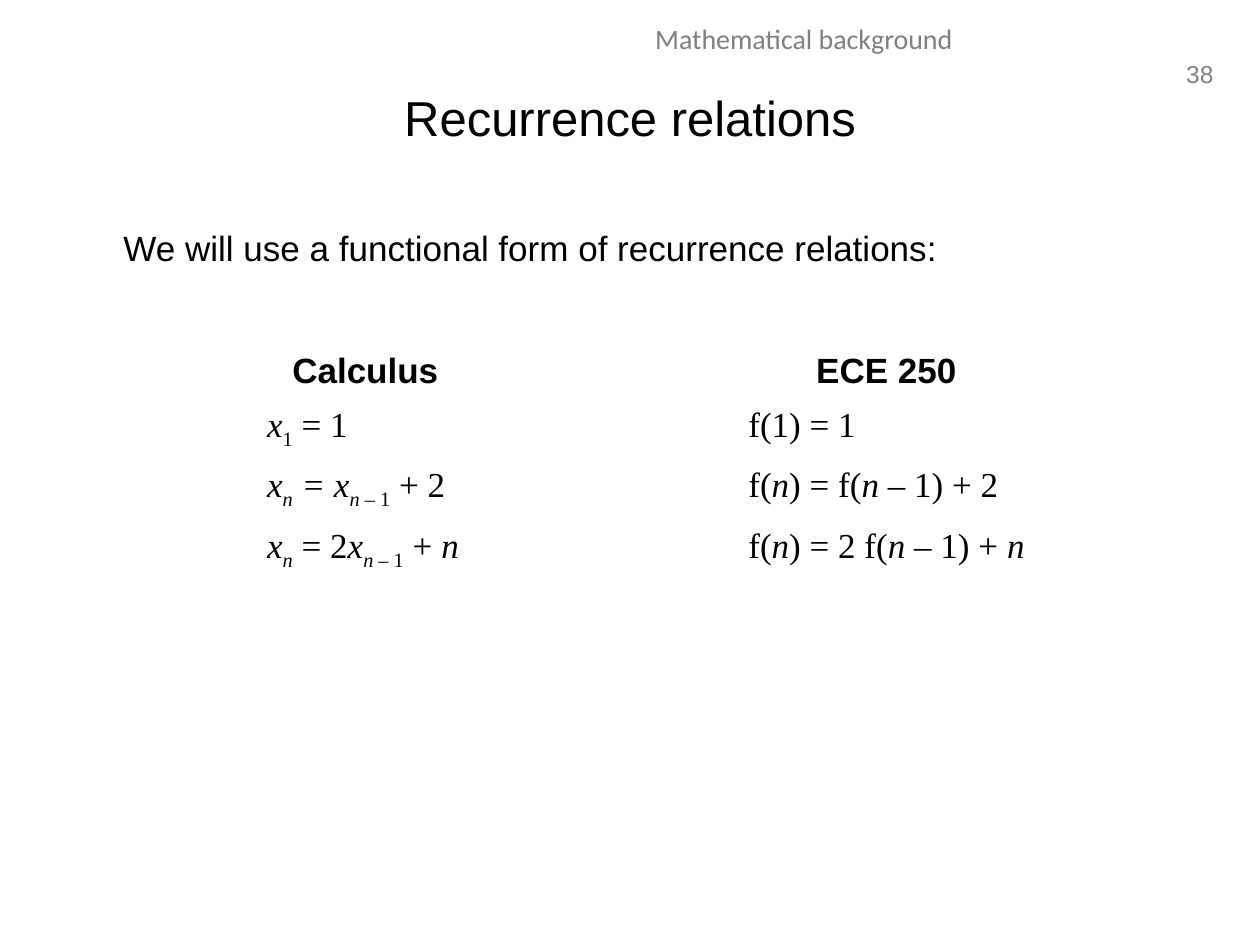
from pptx import Presentation
from pptx.dml.color import RGBColor
from pptx.enum.text import MSO_ANCHOR, PP_ALIGN
from pptx.oxml.xmlchemy import OxmlElement
from pptx.util import Inches, Pt

LEFT, CENTER, RIGHT = PP_ALIGN.LEFT, PP_ALIGN.CENTER, PP_ALIGN.RIGHT
TOP, MIDDLE = MSO_ANCHOR.TOP, MSO_ANCHOR.MIDDLE

COLORS = {"text": "000000", "muted": "808080"}
HEADINGS = ("Calculus", "ECE 250")
COLUMN_WIDTHS = (4.14, 4.13)
FORMULA_INDENTS = (1.29, 0.97)
ROW_HEIGHT = 0.43

# Each formula run is (text, style): i is italic, s is subscript.
FORMULAS = (
    (
        (("x", "i"), ("1", "s"), (" = 1", "")),
        (("f(1) = 1", ""),),
    ),
    (
        (("x", "i"), ("n", "is"), (" = x", "i"), ("n", "is"), (" – 1", "s"), (" + 2", "")),
        (("f(", ""), ("n", "i"), (") = f(", ""), ("n", "i"), (" – 1) + 2", "")),
    ),
    (
        (("x", "i"), ("n", "is"), (" = 2", ""), ("x", "i"), ("n", "is"), (" – 1", "s"),
         (" + ", ""), ("n", "i")),
        (("f(", ""), ("n", "i"), (") = 2 f(", ""), ("n", "i"), (" – 1) + ", ""), ("n", "i")),
    ),
)


class SlideBuilder:
    body_font = "Arial"
    formula_font = "Times New Roman"
    body_size = 20

    def __init__(self, slide):
        self.slide = slide

    def run(self, paragraph, text, size=body_size, font=body_font, color="text", bold=False, style=""):
        run = paragraph.add_run()
        run.text = text
        run.font.size = Pt(size)
        run.font.name = font
        run.font.bold = bold
        run.font.italic = "i" in style
        run.font.color.rgb = RGBColor.from_string(COLORS[color])
        if "s" in style:
            run._r.get_or_add_rPr().set("baseline", "-25000")

    def place(self, shape, left, top, width, height):
        shape.left, shape.top = Inches(left), Inches(top)
        shape.width, shape.height = Inches(width), Inches(height)

    def title(self, text, *box):
        shape = self.slide.shapes.title
        self.place(shape, *box)
        shape.text_frame.vertical_anchor = MIDDLE
        paragraph = shape.text_frame.paragraphs[0]
        paragraph.alignment = CENTER
        self.run(paragraph, text, size=28)

    def body(self, text, *box, indent):
        shape = self.slide.placeholders[1]
        self.place(shape, *box)
        shape.text_frame.vertical_anchor = TOP
        paragraph = shape.text_frame.paragraphs[0]
        properties = paragraph._p.get_or_add_pPr()
        properties.set("marL", str(Inches(indent)))
        properties.set("indent", "0")
        properties.append(OxmlElement("a:buNone"))
        paragraph.space_before = Pt(0)
        self.run(paragraph, text)

    def text_box(self, text, *box, size, font, alignment, wrap=True):
        shape = self.slide.shapes.add_textbox(*map(Inches, box))
        shape.text_frame.word_wrap = wrap
        paragraph = shape.text_frame.paragraphs[0]
        paragraph.alignment = alignment
        self.run(paragraph, text, size, font, "muted")

    def table(self, left, top):
        row_count = len(FORMULAS) + 1
        table = self.slide.shapes.add_table(
            row_count, len(HEADINGS), Inches(left), Inches(top),
            Inches(sum(COLUMN_WIDTHS)), Inches(ROW_HEIGHT * row_count)).table
        table.first_row = table.horz_banding = False
        for row in table.rows:
            row.height = Inches(ROW_HEIGHT)
        for index, heading in enumerate(HEADINGS):
            table.columns[index].width = Inches(COLUMN_WIDTHS[index])
            paragraph = self.cell_paragraph(table.cell(0, index), CENTER)
            self.run(paragraph, heading, bold=True)
            for row_index, formulas in enumerate(FORMULAS, start=1):
                cell = table.cell(row_index, index)
                cell.margin_left = Inches(FORMULA_INDENTS[index])
                paragraph = self.cell_paragraph(cell, LEFT)
                for text, style in formulas[index]:
                    self.run(paragraph, text, font=self.formula_font, style=style)

    def cell_paragraph(self, cell, alignment):
        cell.fill.background()
        paragraph = cell.text_frame.paragraphs[0]
        paragraph.alignment = alignment
        return paragraph


def main():
    presentation = Presentation()
    presentation.slide_width, presentation.slide_height = Inches(10), Inches(7.5)
    builder = SlideBuilder(presentation.slides.add_slide(presentation.slide_layouts[1]))
    builder.text_box("38", 9.29, 0.42, 0.44, 0.33, size=14, font="Arial", alignment=RIGHT, wrap=False)
    builder.text_box("Mathematical background", 3.19, 0.12, 6.38, 0.4,
                     size=16, font="Calibri", alignment=CENTER)
    builder.title("Recurrence relations", 0.5, 0.3, 9, 1.25)
    builder.body("We will use a functional form of recurrence relations:", 0.5, 1.75, 9, 4.95, indent=0.38)
    builder.table(0.83, 2.74)
    presentation.save("out.pptx")


if __name__ == "__main__":
    main()
